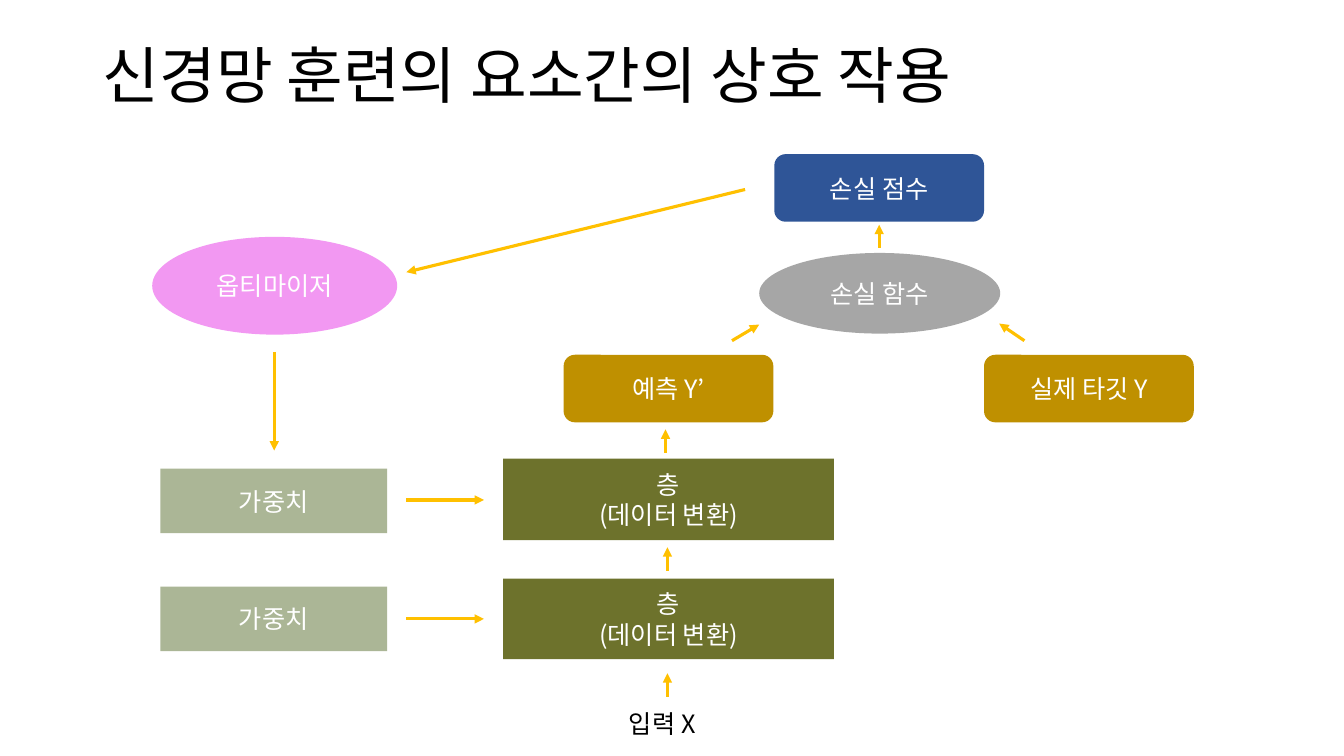
from lxml.etree import SubElement
from pptx import Presentation
from pptx.dml.color import RGBColor
from pptx.enum.shapes import MSO_CONNECTOR, MSO_SHAPE
from pptx.enum.text import MSO_ANCHOR, PP_ALIGN
from pptx.oxml.ns import qn
from pptx.util import Inches, Pt

FONT = "Noto Sans CJK KR"
LAYER_TEXT = "층\n(데이터 변환)"
RECTANGLE = MSO_SHAPE.RECTANGLE
ROUNDED = MSO_SHAPE.ROUNDED_RECTANGLE
OVAL = MSO_SHAPE.OVAL

NODES = [
    (RECTANGLE, 1.59, 5.82, 2.25, 0.64, "ABB696", "가중치"),
    (RECTANGLE, 1.59, 4.65, 2.25, 0.64, "ABB696", "가중치"),
    (RECTANGLE, 4.99, 5.74, 3.28, 0.8, "6D722C", LAYER_TEXT),
    (RECTANGLE, 4.99, 4.55, 3.28, 0.81, "6D722C", LAYER_TEXT),
    (ROUNDED, 5.59, 3.52, 2.08, 0.67, "BF9000", "예측 Y’"),
    (ROUNDED, 9.76, 3.52, 2.08, 0.67, "BF9000", "실제 타깃 Y"),
    (OVAL, 7.53, 2.51, 2.39, 0.8, "A6A6A6", "손실 함수"),
    (ROUNDED, 7.68, 1.53, 2.08, 0.67, "2F5597", "손실 점수"),
    (OVAL, 1.51, 2.35, 2.43, 0.97, "F298F2", "옵티마이저"),
]

ARROWS = [
    (4.03, 4.96, 4.8, 4.96),
    (4.03, 6.14, 4.8, 6.14),
    (6.62, 5.66, 6.62, 5.43),
    (6.6, 4.49, 6.6, 4.26),
    (7.26, 3.38, 7.53, 3.22),
    (10.16, 3.38, 9.91, 3.21),
    (8.72, 2.46, 8.72, 2.23),
    (7.39, 1.88, 4.03, 2.7),
    (2.72, 3.49, 2.72, 4.47),
    (6.62, 6.91, 6.62, 6.68),
]


def color(value):
    """Turn a hex string into a colour."""
    return RGBColor.from_string(value)


def write(frame, text, size, ink, align):
    """Fill a text frame and format its runs."""
    frame.text = text
    for para in frame.paragraphs:
        para.alignment = align
        for span in para.runs:
            span.font.size = Pt(size)
            span.font.name = FONT
            span.font.color.rgb = color(ink)
            properties = span.font._element
            SubElement(properties, qn("a:ea")).set("typeface", FONT)


def add_label(page, left, top, width, height, text, size, wrap):
    """Add a plain text box and return its text frame."""
    box = page.shapes.add_textbox(Inches(left), Inches(top), Inches(width), Inches(height))
    frame = box.text_frame
    frame.word_wrap = wrap
    write(frame, text, size, "000000", PP_ALIGN.LEFT)
    return frame


def add_node(page, kind, left, top, width, height, fill, text):
    """Add a filled shape with centred white text."""
    node = page.shapes.add_shape(kind, Inches(left), Inches(top), Inches(width), Inches(height))
    node.shadow.inherit = False
    node.fill.solid()
    node.fill.fore_color.rgb = color(fill)
    node.line.fill.background()
    node.text_frame.word_wrap = True
    node.text_frame.vertical_anchor = MSO_ANCHOR.MIDDLE
    write(node.text_frame, text, 18, "FFFFFF", PP_ALIGN.CENTER)


def add_arrow(page, start_x, start_y, end_x, end_y):
    """Add an amber arrow that points at its end."""
    arrow = page.shapes.add_connector(
        MSO_CONNECTOR.STRAIGHT, Inches(start_x), Inches(start_y), Inches(end_x), Inches(end_y)
    )
    arrow.line.color.rgb = color("FFC000")
    arrow.line.width = Pt(2.25)
    SubElement(arrow.line._get_or_add_ln(), qn("a:tailEnd")).set("type", "triangle")
    SubElement(arrow._element.spPr, qn("a:effectLst"))


def main():
    """Build the slide and save it."""
    deck = Presentation()
    deck.slide_width = Inches(13.33)
    deck.slide_height = Inches(7.5)
    page = deck.slides.add_slide(deck.slide_layouts[6])
    title = add_label(page, 0.92, 0.4, 11.5, 1.45, "신경망 훈련의 요소간의 상호 작용", 44, True)
    title.paragraphs[0].line_spacing = 0.9
    for node in NODES:
        add_node(page, *node)
    for arrow in ARROWS:
        add_arrow(page, *arrow)
    add_label(page, 6.14, 6.98, 1, 0.4, "입력 X", 18, False)
    deck.save("out.pptx")


if __name__ == "__main__":
    main()
